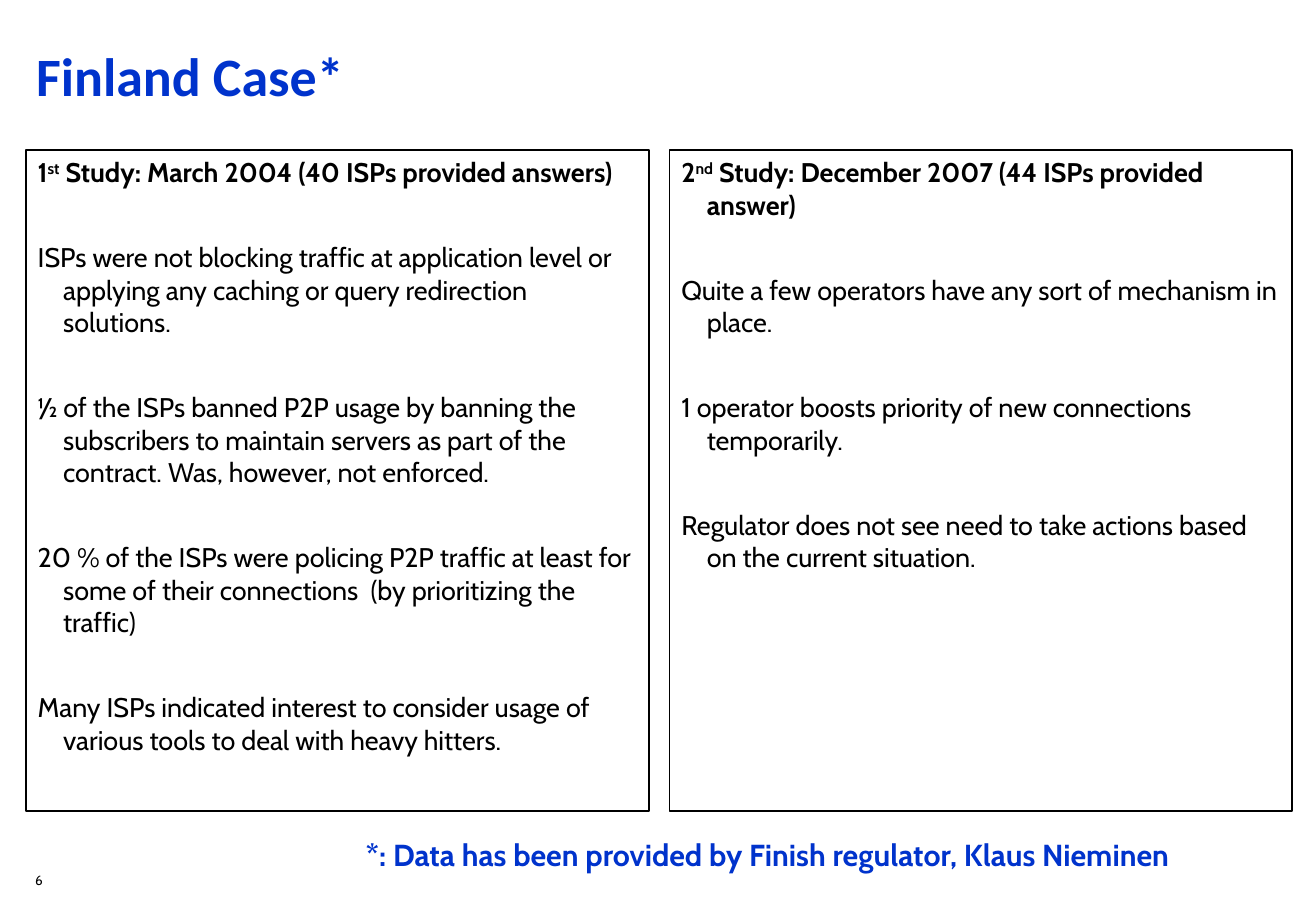
from dataclasses import dataclass

from pptx import Presentation
from pptx import util as u
from pptx.dml import color
from pptx.enum import shapes, text

Pt = u.Pt


@dataclass(frozen=True)
class Theme:
    blue: str = "0033CC"
    black: str = "000000"
    head: str = "Calibri"
    body: str = "Cabin"
    title: int = 32
    note: int = 18
    copy: int = 16
    small: int = 8


T = Theme()

FIRST = (
    ("1", "st", " Study: March 2004 (40 ISPs provided answers)"),
    (
        "ISPs were not blocking traffic at application level or applying any caching or query redirection solutions.",
        "½ of the ISPs banned P2P usage by banning the subscribers to maintain servers as part of the contract. Was, however, not enforced.",
        "20 % of the ISPs were policing P2P traffic at least for some of their connections  (by prioritizing the traffic)",
        "Many ISPs indicated interest to consider usage of various tools to deal with heavy hitters.",
    ),
)
SECOND = (
    ("2", "nd", " Study: December 2007 (44 ISPs provided answer)"),
    (
        "Quite a few operators have any sort of mechanism in place.",
        "1 operator boosts priority of new connections temporarily.",
        "Regulator does not see need to take actions based on the current situation.",
    ),
)


def style(run, face, size, tint, bold=False):
    font = run.font
    font.name, font.size, font.bold = face, Pt(size), bold
    font.color.rgb = color.RGBColor.from_string(tint)


def frame(shape, anchor=text.MSO_ANCHOR.TOP):
    body = shape.text_frame
    body.word_wrap = True
    body.vertical_anchor = anchor
    body.margin_left = body.margin_right = Pt(7.2)
    body.margin_top = body.margin_bottom = Pt(3.6)
    return body


def label(slide, box, words, face, size, tint, bold=False,
          anchor=text.MSO_ANCHOR.TOP):
    body = frame(slide.shapes.add_textbox(*map(Pt, box)), anchor)
    body.text = words
    style(body.paragraphs[0].runs[0], face, size, tint, bold)


def indent(para):
    para.alignment = text.PP_ALIGN.LEFT
    para.space_before, para.space_after = Pt(3), Pt(28.3)
    props = para._p.get_or_add_pPr()
    props.set("marL", str(Pt(15.12)))
    props.set("indent", str(Pt(-15.12)))


def study(slide, box, heading, points):
    panel = slide.shapes.add_shape(shapes.MSO_SHAPE.RECTANGLE, *map(Pt, box))
    panel.shadow.inherit = False
    panel.fill.background()
    panel.line.color.rgb = color.RGBColor.from_string(T.black)
    panel.line.width = Pt(1)
    body = frame(panel)
    para = body.paragraphs[0]
    indent(para)
    for part in heading:
        run = para.add_run()
        run.text = part
        style(run, T.body, T.copy, T.black, True)
    para.runs[1].font._element.set("baseline", "30000")
    for point in points:
        para = body.add_paragraph()
        para.text = point
        indent(para)
        style(para.runs[0], T.body, T.copy, T.black)


def studies(slide, box):
    left, top, width, height = box
    gap = 12.24
    wide = (width - gap) / 2
    for i, (heading, points) in enumerate((FIRST, SECOND)):
        study(slide, (left + i * (wide + gap), top, wide, height),
              heading, points)


def footer(slide, box):
    left, top, width, height = box
    label(slide, (left + 196, top, width - 196, 28.8),
          "*: Data has been provided by Finish regulator, Klaus Nieminen",
          T.body, T.note, T.blue, True)
    label(slide, (left, top + height - 15.84, 29.52, 15.84), "6",
          T.body, T.small, T.black)


def main():
    deck = Presentation()
    deck.slide_width, deck.slide_height = Pt(780.48), Pt(540)
    slide = deck.slides.add_slide(deck.slide_layouts[6])
    label(slide, (14.4, 0, 750.96, 88.56), "Finland Case*",
          T.head, T.title, T.blue, True, text.MSO_ANCHOR.MIDDLE)
    studies(slide, (15.3, 88.8, 751.2, 391.8))
    footer(slide, (13.8, 491.9, 766, 37.4))
    deck.save("out.pptx")


if __name__ == "__main__":
    main()
